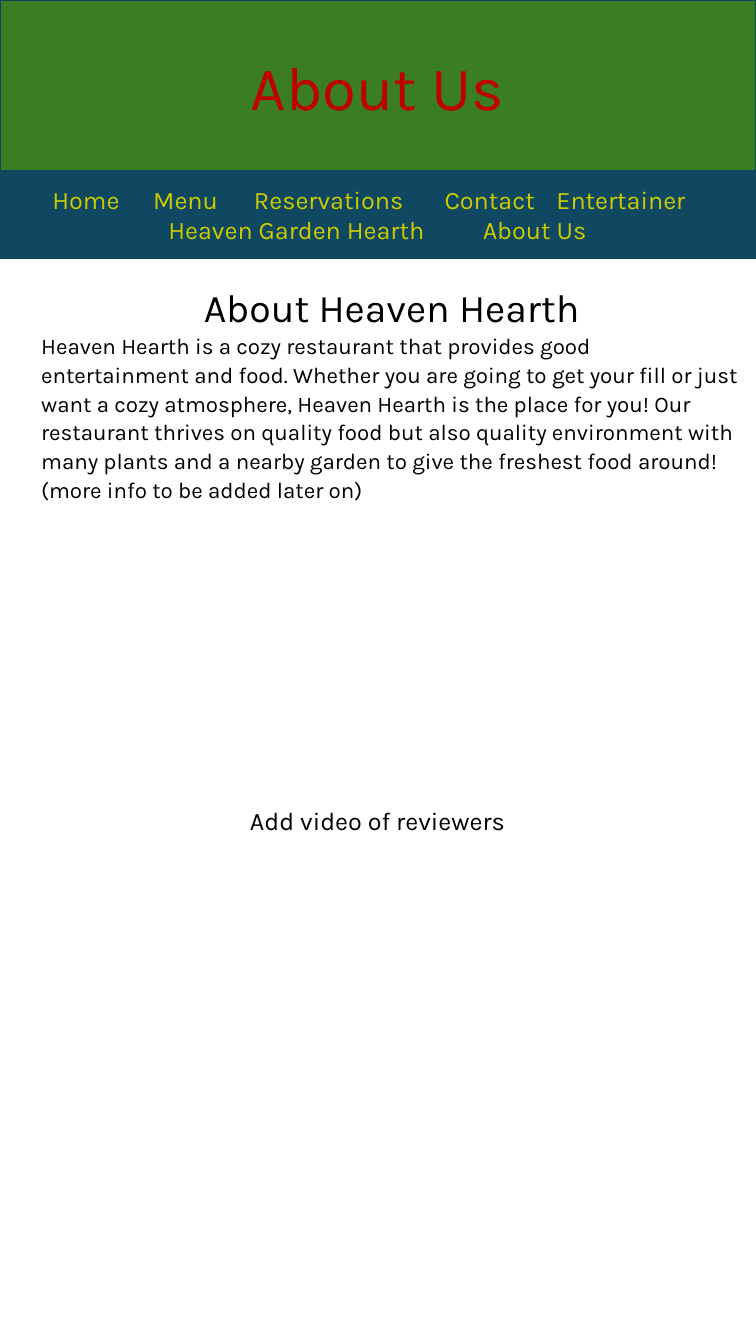
"""Build the About Us page of the Heaven Hearth restaurant."""
from dataclasses import dataclass

import lxml.etree
import pptx
import pptx.dml.color
import pptx.enum.shapes
import pptx.enum.text
import pptx.oxml.ns
import pptx.shapes.autoshape
import pptx.slide
import pptx.util

Inches = pptx.util.Inches
Align = pptx.enum.text.PP_ALIGN
Anchor = pptx.enum.text.MSO_ANCHOR
AutoSize = pptx.enum.text.MSO_AUTO_SIZE

FONT = "Karla"
COLORS = {
    "header": "3B7D23",
    "navigation": "104862",
    "border": "104760",
    "title": "C00000",
    "link": "CCCC00",
    "text": "000000",
}
ABOUT = (
    "Heaven Hearth is a cozy restaurant that provides good entertainment and food. "
    "Whether you are going to get your fill or just want a cozy atmosphere, "
    "Heaven Hearth is the place for you! Our restaurant thrives on quality food "
    "but also quality environment with many plants and a nearby garden to give "
    "the freshest food around! (more info to be added later on)"
)


@dataclass(frozen=True)
class Para:
    text: str
    size: float
    color: str = "text"
    align: Align = Align.CENTER
    line_spacing: float | None = None
    space_after: float | None = None
    tab_stops: tuple[float, ...] = ()


@dataclass(frozen=True)
class Block:
    left: float
    top: float
    width: float
    height: float
    paras: tuple[Para, ...] = ()
    fill: str | None = None
    anchor: Anchor = Anchor.MIDDLE
    inset: float = 0.1
    grows: bool = False


BLOCKS = (
    Block(0, 0, 7.5, 1.7, fill="header"),
    Block(1.65, 0.43, 4.19, 0.84, (Para("About Us", 44, "title"),), grows=True),
    Block(
        0, 1.7, 7.5, 0.86,
        (
            Para("Home\tMenu\tReservations\tContact\tEntertainer", 18, "link",
                 Align.LEFT, tab_stops=(1, 2, 3.89, 5)),
            Para("\tHeaven Garden Hearth\tAbout Us", 18, "link",
                 Align.LEFT, tab_stops=(1.15, 4.27)),
        ),
        fill="navigation", inset=0.52,
    ),
    Block(
        0.31, 2.76, 7.15, 2.29,
        (
            Para("About Heaven Hearth", 28),
            Para(ABOUT, 16, align=Align.LEFT, line_spacing=1.07, space_after=8),
        ),
        anchor=Anchor.TOP, grows=True,
    ),
    Block(0.17, 6.04, 7.15, 4.2, (Para("Add video of reviewers", 18),)),
)


def rgb(name: str) -> pptx.dml.color.RGBColor:
    return pptx.dml.color.RGBColor.from_string(COLORS[name])


def add_box(page: pptx.slide.Slide, block: Block) -> pptx.shapes.autoshape.Shape:
    place = [Inches(n) for n in (block.left, block.top, block.width, block.height)]
    if block.fill is None:
        return page.shapes.add_textbox(*place)
    box = page.shapes.add_shape(pptx.enum.shapes.MSO_SHAPE.RECTANGLE, *place)
    box.shadow.inherit = False
    box.fill.solid()
    box.fill.fore_color.rgb = rgb(block.fill)
    box.line.color.rgb = rgb("border")
    box.line.width = pptx.util.Pt(1.5)
    return box


def write_para(paragraph, para: Para) -> None:
    paragraph.text = para.text
    paragraph.alignment = para.align
    if para.line_spacing is not None:
        paragraph.line_spacing = para.line_spacing
    if para.space_after is not None:
        paragraph.space_after = pptx.util.Pt(para.space_after)
    if para.tab_stops:
        qn = pptx.oxml.ns.qn
        properties = paragraph._p.get_or_add_pPr()
        tab_list = lxml.etree.SubElement(properties, qn("a:tabLst"))
        for stop in para.tab_stops:
            lxml.etree.SubElement(tab_list, qn("a:tab"), pos=str(Inches(stop)), algn="l")
    font = paragraph.font
    font.name = FONT
    font.size = pptx.util.Pt(para.size)
    font.color.rgb = rgb(para.color)


def draw_block(page: pptx.slide.Slide, block: Block) -> None:
    frame = add_box(page, block).text_frame
    frame.word_wrap = True
    frame.vertical_anchor = block.anchor
    frame.margin_left = Inches(block.inset)
    frame.auto_size = AutoSize.SHAPE_TO_FIT_TEXT if block.grows else AutoSize.NONE
    for index, para in enumerate(block.paras):
        write_para(frame.add_paragraph() if index else frame.paragraphs[0], para)


def main() -> None:
    deck = pptx.Presentation()
    deck.slide_width = Inches(7.5)
    deck.slide_height = Inches(13.33)
    page = deck.slides.add_slide(deck.slide_layouts[6])
    for block in BLOCKS:
        draw_block(page, block)
    deck.save("out.pptx")


if __name__ == "__main__":
    main()
